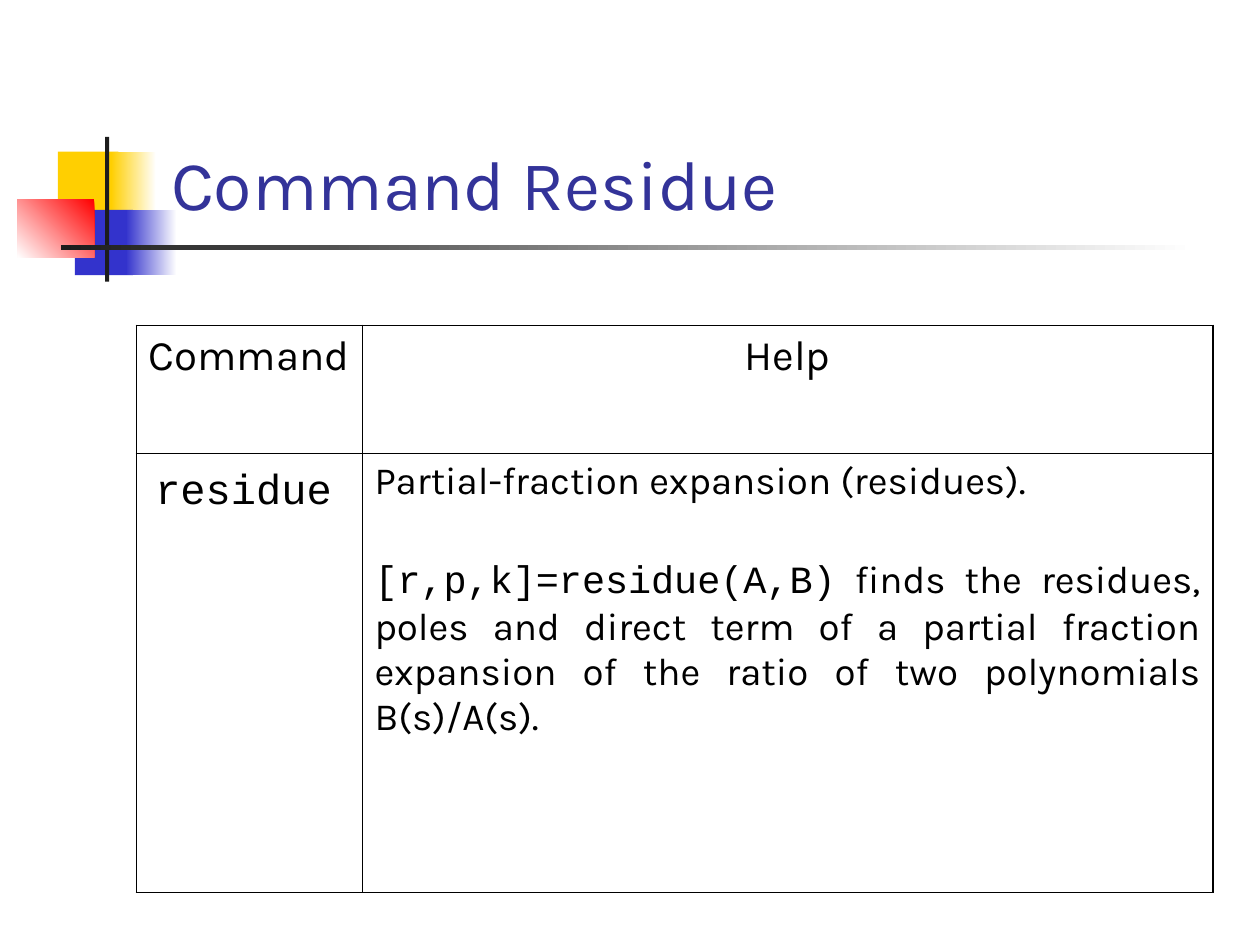
from lxml import etree
from pptx import Presentation
from pptx import util as u
from pptx.dml.color import RGBColor
from pptx.enum import shapes, text
from pptx.oxml.ns import qn

SANS, MONO = "Karla", "Courier New"
BLACK, WHITE, DARK = "000000", "FFFFFF", "1C1C1C"
YELLOW, BLUE, RED = "FFCF01", "3333CC", "FF0000"


def color(value):
    return RGBColor.from_string(value)


def add_borders(cell, widths):
    """Draw black borders, with widths in points for left, right, top, bottom."""
    properties = cell._tc.get_or_add_tcPr()
    for place, (side, width) in enumerate(zip("LRTB", widths)):
        line = etree.Element(qn(f"a:ln{side}"), w=str(u.Pt(width)))
        fill = etree.SubElement(line, qn("a:solidFill"))
        etree.SubElement(fill, qn("a:srgbClr"), val=BLACK)
        properties.insert(place, line)


deck = Presentation()
deck.slide_width, deck.slide_height = u.Cm(25.4), u.Cm(19.05)
page = deck.slides.add_slide(deck.slide_layouts[6])

# Ornament: left, top, width, height, colours from start to end, angle
ornament = [
    (1.17, 3.06, 1.22, 1.32, [YELLOW], None),
    (2.24, 3.06, 0.91, 1.32, [WHITE, YELLOW], 180),
    (1.51, 4.23, 1.17, 1.32, [BLUE], None),
    (2.54, 4.23, 1.02, 1.32, [WHITE, BLUE], 180),
    (0.35, 4.02, 1.55, 1.17, [RED, WHITE], 225),
    (2.12, 2.76, 0.08, 2.92, [DARK], None),
    (1.23, 4.94, 22.86, 0.1, [WHITE, DARK], 180),
]
for left, top, width, height, colors, angle in ornament:
    block = page.shapes.add_shape(shapes.MSO_SHAPE.RECTANGLE,
                                  u.Cm(left), u.Cm(top), u.Cm(width), u.Cm(height))
    block.shadow.inherit = False
    block.line.fill.background()
    if angle is None:
        block.fill.solid()
        block.fill.fore_color.rgb = color(colors[0])
    else:
        block.fill.gradient()
        block.fill.gradient_angle = angle
        for stop, value in zip(block.fill.gradient_stops, colors):
            stop.color.rgb = color(value)

# Title
box = page.shapes.add_textbox(u.Cm(3.2), u.Cm(0.6), u.Cm(21.64), u.Cm(4.06))
box.text_frame.word_wrap = True
box.text_frame.vertical_anchor = text.MSO_ANCHOR.BOTTOM
title = box.text_frame.paragraphs[0]
title.text = "Command Residue"
title.font.name, title.font.size = SANS, u.Pt(40)
title.font.color.rgb = color("333399")

# Table: each paragraph is space before, alignment and runs of text, size, font
CENTER, JUSTIFY = text.PP_ALIGN.CENTER, text.PP_ALIGN.JUSTIFY
rows = [
    [[(6, CENTER, [("Command", 24, SANS)])],
     [(6, CENTER, [("Help", 24, SANS)])]],
    [[(7, CENTER, [("residue", 24, MONO), (" ", 28, SANS)])],
     [(5.5, JUSTIFY, [("Partial-fraction expansion (residues).", 22, SANS)]),
      (31, JUSTIFY, [("[r,p,k]=residue(A,B)", 22, MONO),
                     (" finds the residues, poles and direct term of a partial "
                      "fraction expansion of the ratio of two polynomials "
                      "B(s)/A(s).", 22, SANS)])]],
]
OUTER, INNER = 1.08, 0.45
SIDE_MARGINS = (0.15, 0.25)  # the narrow column must hold "Command" on one line
table = page.shapes.add_table(2, 2, u.Cm(2.75), u.Cm(6.56), u.Cm(21.7), u.Cm(11.43)).table
table.first_row = table.horz_banding = False
for column, width in zip(table.columns, (4.55, 17.15)):
    column.width = u.Cm(width)
for row, height in zip(table.rows, (2.57, 8.86)):
    row.height = u.Cm(height)

for r, row in enumerate(rows):
    for c, content in enumerate(row):
        cell = table.cell(r, c)
        cell.margin_left = cell.margin_right = u.Cm(SIDE_MARGINS[c])
        cell.fill.background()
        add_borders(cell, [OUTER if edge else INNER
                           for edge in (c == 0, c == 1, r == 0, r == 1)])
        frame = cell.text_frame
        for i, (before, alignment, spans) in enumerate(content):
            para = frame.add_paragraph() if i else frame.paragraphs[0]
            para.space_before, para.alignment = u.Pt(before), alignment
            para.font.color.rgb = color(BLACK)
            for words, size, font in spans:
                span = para.add_run()
                span.text = words
                span.font.size, span.font.name = u.Pt(size), font

deck.save("out.pptx")
